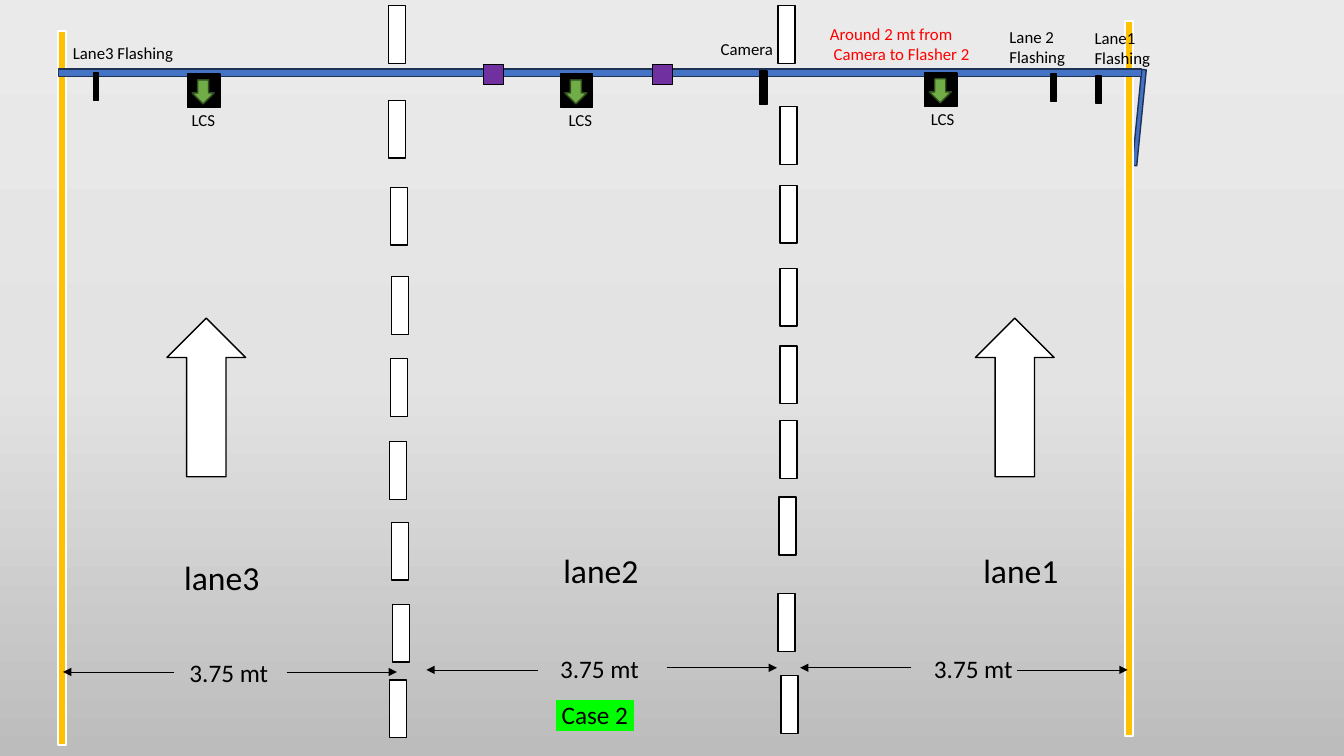
from dataclasses import dataclass

from lxml import etree
from pptx import Presentation
from pptx.dml.color import RGBColor
from pptx.enum.shapes import MSO_CONNECTOR, MSO_SHAPE
from pptx.enum.text import MSO_AUTO_SIZE, PP_ALIGN
from pptx.oxml.ns import qn
from pptx.util import Emu, Pt

BAR = MSO_SHAPE.MATH_MINUS
UP_ARROW = MSO_SHAPE.UP_ARROW
DOWN_ARROW = MSO_SHAPE.DOWN_ARROW
STRAIGHT = MSO_CONNECTOR.STRAIGHT
GROW = MSO_AUTO_SIZE.SHAPE_TO_FIT_TEXT
LEFT = PP_ALIGN.LEFT
CENTER = PP_ALIGN.CENTER
EMU_PER_PX = 9525


@dataclass(frozen=True)
class Theme:
    font: str = "Calibri"
    black: str = "000000"
    white: str = "FFFFFF"
    red: str = "FF0000"
    blue: str = "4472C4"
    navy: str = "1E3256"
    amber: str = "FFC000"
    green: str = "70AD47"
    forest: str = "314C1F"
    purple: str = "7030A0"
    highlight: str = "00FF00"
    sky: tuple = ((0, "EBEAEA"), (50, "E4E3E3"), (100, "BDBCBC"))
    lane_size: int = 24
    measure_size: int = 18
    label_size: int = 12
    outline: float = 1
    edge_outline: float = 1.5
    hairline: float = 0.5


def px(length):
    return Emu(length * EMU_PER_PX)


def color(code):
    return RGBColor.from_string(code)


class Sketch:
    def __init__(self, page, theme):
        self.page = page
        self.theme = theme

    def background(self, stops):
        fill = self.page.background.fill
        fill.gradient()
        fill.gradient_angle = 270
        stop_list = next(self.page.element.iter(qn("a:gsLst")))
        for stop in list(stop_list):
            stop_list.remove(stop)
        for percent, code in stops:
            stop = etree.SubElement(stop_list, qn("a:gs"), pos=str(percent * 1000))
            etree.SubElement(stop, qn("a:srgbClr"), val=code)

    def shape(self, kind, left, top, width, height, fill, line=None, weight=None, turn=0):
        shape = self.page.shapes.add_shape(kind, px(left), px(top), px(width), px(height))
        shape.shadow.inherit = False
        shape.rotation = turn
        shape.fill.solid()
        shape.fill.fore_color.rgb = color(fill)
        shape.line.color.rgb = color(line or self.theme.black)
        shape.line.width = Pt(weight or self.theme.outline)

    def arrow(self, start, end, level):
        arrow = self.page.shapes.add_connector(STRAIGHT, px(start), px(level), px(end), px(level))
        arrow.line.color.rgb = color(self.theme.black)
        arrow.line.width = Pt(self.theme.hairline)
        properties = arrow.element.spPr
        etree.SubElement(properties.find(qn("a:ln")), qn("a:tailEnd"), type="triangle")
        etree.SubElement(properties, qn("a:effectLst"))

    def text(self, text, left, top, width, height, size, ink=None, align=LEFT, highlight=None):
        box = self.page.shapes.add_textbox(px(left), px(top), px(width), px(height))
        frame = box.text_frame
        frame.word_wrap = True
        frame.auto_size = GROW
        for index, line in enumerate(text.split("\n")):
            para = frame.add_paragraph() if index else frame.paragraphs[0]
            para.alignment = align
            span = para.add_run()
            span.text = line
            span.font.size = Pt(size)
            span.font.color.rgb = color(ink or self.theme.black)
            if highlight:
                mark = etree.SubElement(span.font._element, qn("a:highlight"))
                etree.SubElement(mark, qn("a:srgbClr"), val=highlight)
            span.font.name = self.theme.font


def draw_road(sketch):
    theme = sketch.theme
    for name, left, top, width in (
        ("lane3", 166, 526, 114), ("lane2", 527, 519, 125), ("lane1", 927, 519, 115),
    ):
        sketch.text(name, left, top, width, 48, theme.lane_size)
    for left in (159, 929):
        sketch.shape(UP_ARROW, left, 303, 75, 151, theme.white)
    left_dashes = (
        (367, -84), (367, 6), (369, 89), (370, 174), (369, 252),
        (368, 331), (370, 408), (371, 486), (368, 558),
    )
    right_dashes = (
        (738, -84), (740, 12), (740, 87), (740, 166), (740, 240),
        (740, 311), (739, 384), (738, 476), (741, 554),
    )
    for left, top in left_dashes + right_dashes:
        sketch.shape(BAR, left, top, 22, 234, theme.white)


def draw_gantry(sketch):
    theme = sketch.theme
    sketch.shape(BAR, 1082, -83, 6, 390, theme.blue, theme.navy, turn=5.7)
    for left, top in ((612, 345), (-404, 354)):
        sketch.shape(BAR, left, top, 926, 31, theme.amber, theme.white, theme.edge_outline, 90)
    sketch.shape(BAR, -130, 54, 1403, 31, theme.blue, theme.navy)
    sketch.shape(BAR, 722, 16, 10, 135, theme.black)
    for left, top in ((88, 27), (1000, 28), (1043, 30)):
        sketch.shape(BAR, left, top, 7, 111, theme.black)
    for left, label_left, top in ((173, 173, 19), (528, 532, 19), (875, 877, 18)):
        sketch.shape(BAR, left, top, 42, 135, theme.black)
        sketch.shape(DOWN_ARROW, left + 10, top + 57, 21, 23, theme.green, theme.forest)
        sketch.text("LCS", label_left, top + 81, 58, 29, theme.label_size)
    for left in (457, 618):
        sketch.shape(BAR, left, 30, 26, 82, theme.purple)


def draw_labels(sketch):
    theme = sketch.theme
    for start, end, level in (
        (166, 60, 640), (273, 378, 640), (512, 406, 638),
        (635, 740, 636), (868, 762, 636), (969, 1074, 638),
    ):
        sketch.arrow(start, end, level)
    for left, top in ((171, 621), (524, 617), (880, 617)):
        sketch.text("3.75 mt", left, top, 99, 38, theme.measure_size)
    for label, left, top, width, height in (
        ("Camera", 677, 32, 108, 29),
        ("Lane3 Flashing", 60, 36, 131, 29),
        ("Lane 2 Flashing", 952, 21, 92, 48),
        ("Lane1 Flashing", 1033, 22, 99, 48),
    ):
        sketch.text(label, left, top, width, height, theme.label_size)
    sketch.text("Around 2 mt from\n Camera to Flasher 2", 781, 18, 169, 48,
                theme.label_size, ink=theme.red)
    sketch.text(" Case 2 ", 402, 661, 329, 38, theme.measure_size,
                align=CENTER, highlight=theme.highlight)


def main():
    deck = Presentation()
    deck.slide_width, deck.slide_height = px(1280), px(720)
    page = deck.slides.add_slide(deck.slide_layouts[6])
    sketch = Sketch(page, Theme())
    sketch.background(sketch.theme.sky)
    draw_road(sketch)
    draw_gantry(sketch)
    draw_labels(sketch)
    deck.save("out.pptx")


if __name__ == "__main__":
    main()
